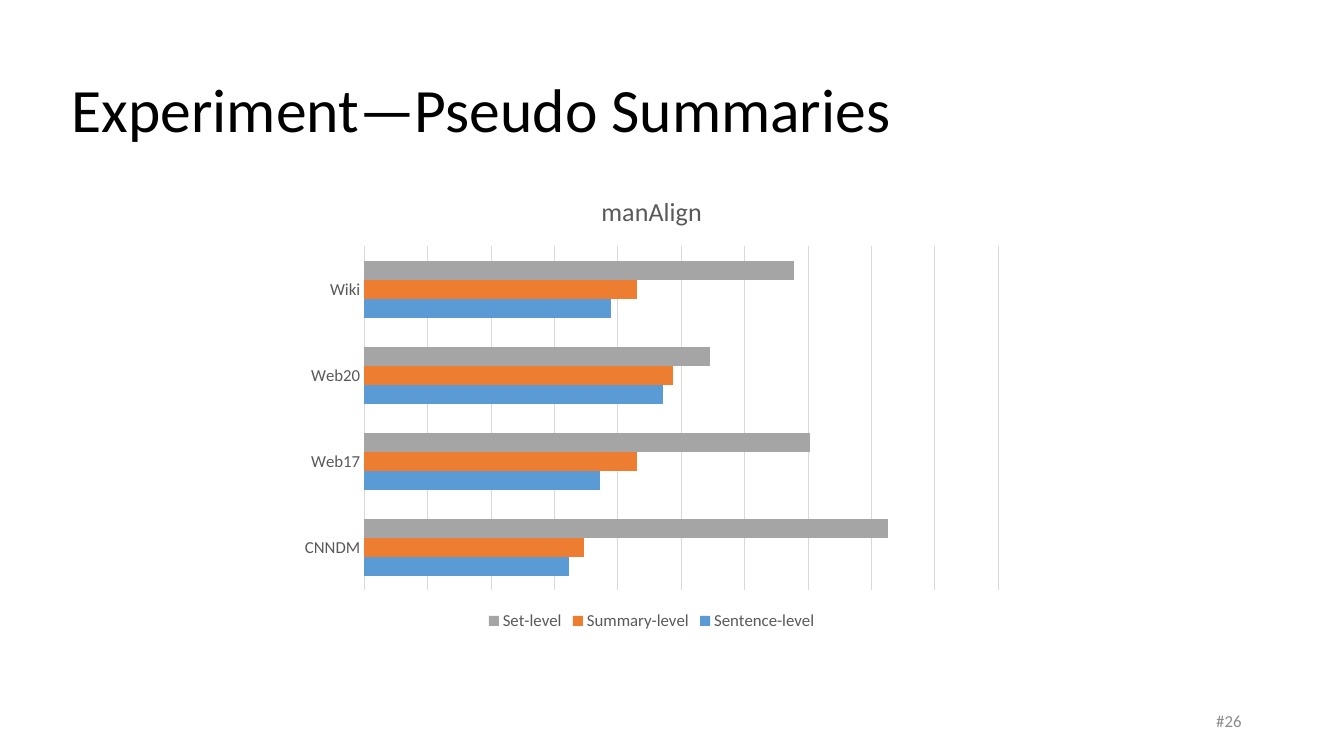
"""Build the pseudo summaries slide with its clustered bar chart."""
from pptx import Presentation
from pptx.chart.data import CategoryChartData
from pptx.dml.color import RGBColor
from pptx.enum.chart import XL_CHART_TYPE, XL_LEGEND_POSITION, XL_TICK_MARK
from pptx.enum.text import MSO_ANCHOR, MSO_AUTO_SIZE, PP_ALIGN
from pptx.util import Pt

BAR_CLUSTERED = XL_CHART_TYPE.BAR_CLUSTERED
LEGEND_BOTTOM = XL_LEGEND_POSITION.BOTTOM
NO_TICK = XL_TICK_MARK.NONE
MIDDLE = MSO_ANCHOR.MIDDLE
NO_AUTOFIT = MSO_AUTO_SIZE.NONE
LEFT, RIGHT = PP_ALIGN.LEFT, PP_ALIGN.RIGHT

BLACK = RGBColor(0x00, 0x00, 0x00)
DARK_GRAY = RGBColor(0x59, 0x59, 0x59)
NUMBER_GRAY = RGBColor(0x8C, 0x8C, 0x8C)
GRID_GRAY = RGBColor(0xD9, 0xD9, 0xD9)
BLUE = RGBColor(0x5B, 0x9B, 0xD5)
ORANGE = RGBColor(0xED, 0x7D, 0x31)
GRAY = RGBColor(0xA5, 0xA5, 0xA5)
FONT = "Calibri"

TITLE = "Experiment—Pseudo Summaries"
SLIDE_NUMBER = "#26"
CHART_TITLE = "manAlign"
CATEGORIES = ["CNNDM", "Web17", "Web20", "Wiki"]
SERIES = [
    ("Sentence-level", [39, 45, 57, 47], BLUE),
    ("Summary-level", [42, 52, 59, 52], ORANGE),
    ("Set-level", [100, 85, 66, 82], GRAY),
]
AXIS_MAXIMUM = 121
GRID_INTERVALS = 10

TITLE_BOX = (44, 28, 828, 104.5)
CHART_BOX = (207.5, 124.5, 516, 329)
NUMBER_BOX = (678, 500.5, 216, 28.8)


def set_font(font, size, color):
    font.name = FONT
    font.size = Pt(size)
    font.color.rgb = color


def write_text(shape, text, size, color, alignment):
    frame = shape.text_frame
    frame.word_wrap = True
    frame.auto_size = NO_AUTOFIT
    frame.vertical_anchor = MIDDLE
    frame.text = text
    paragraph = frame.paragraphs[0]
    paragraph.alignment = alignment
    set_font(paragraph.font, size, color)
    return paragraph


def set_line(line):
    line.color.rgb = GRID_GRAY
    line.width = Pt(0.75)


def add_bar_chart(slide):
    data = CategoryChartData()
    data.categories = CATEGORIES
    for name, values, _ in SERIES:
        data.add_series(name, values)
    chart = slide.shapes.add_chart(BAR_CLUSTERED, *map(Pt, CHART_BOX), data).chart
    set_font(chart.font, 10, BLACK)

    chart.has_title = True
    chart.chart_title.include_in_layout = False
    chart.chart_title.text_frame.text = CHART_TITLE
    title_font = chart.chart_title.text_frame.paragraphs[0].font
    set_font(title_font, 18.6, DARK_GRAY)
    title_font.bold = False

    chart.has_legend = True
    chart.legend.position = LEGEND_BOTTOM
    chart.legend.include_in_layout = False
    set_font(chart.legend.font, 12, DARK_GRAY)

    category_axis = chart.category_axis
    category_axis.major_tick_mark = NO_TICK
    set_font(category_axis.tick_labels.font, 12, DARK_GRAY)
    set_line(category_axis.format.line)

    value_axis = chart.value_axis
    value_axis.visible = False
    value_axis.minimum_scale = 0
    value_axis.maximum_scale = AXIS_MAXIMUM
    value_axis.major_unit = AXIS_MAXIMUM / GRID_INTERVALS
    value_axis.has_major_gridlines = True
    set_line(value_axis.major_gridlines.format.line)

    plot = chart.plots[0]
    plot.gap_width = 150
    plot.vary_by_categories = False
    for series, (_, _, color) in zip(plot.series, SERIES):
        series.format.fill.solid()
        series.format.fill.fore_color.rgb = color


def main():
    presentation = Presentation()
    presentation.slide_width, presentation.slide_height = Pt(960), Pt(540)
    slide = presentation.slides.add_slide(presentation.slide_layouts[5])
    add_bar_chart(slide)

    number = slide.shapes.add_textbox(*map(Pt, NUMBER_BOX))
    write_text(number, SLIDE_NUMBER, 12, NUMBER_GRAY, RIGHT)

    title = slide.shapes.title
    title.left, title.top, title.width, title.height = map(Pt, TITLE_BOX)
    paragraph = write_text(title, TITLE, 44, BLACK, LEFT)
    paragraph.line_spacing = 0.9

    presentation.save("out.pptx")


if __name__ == "__main__":
    main()
